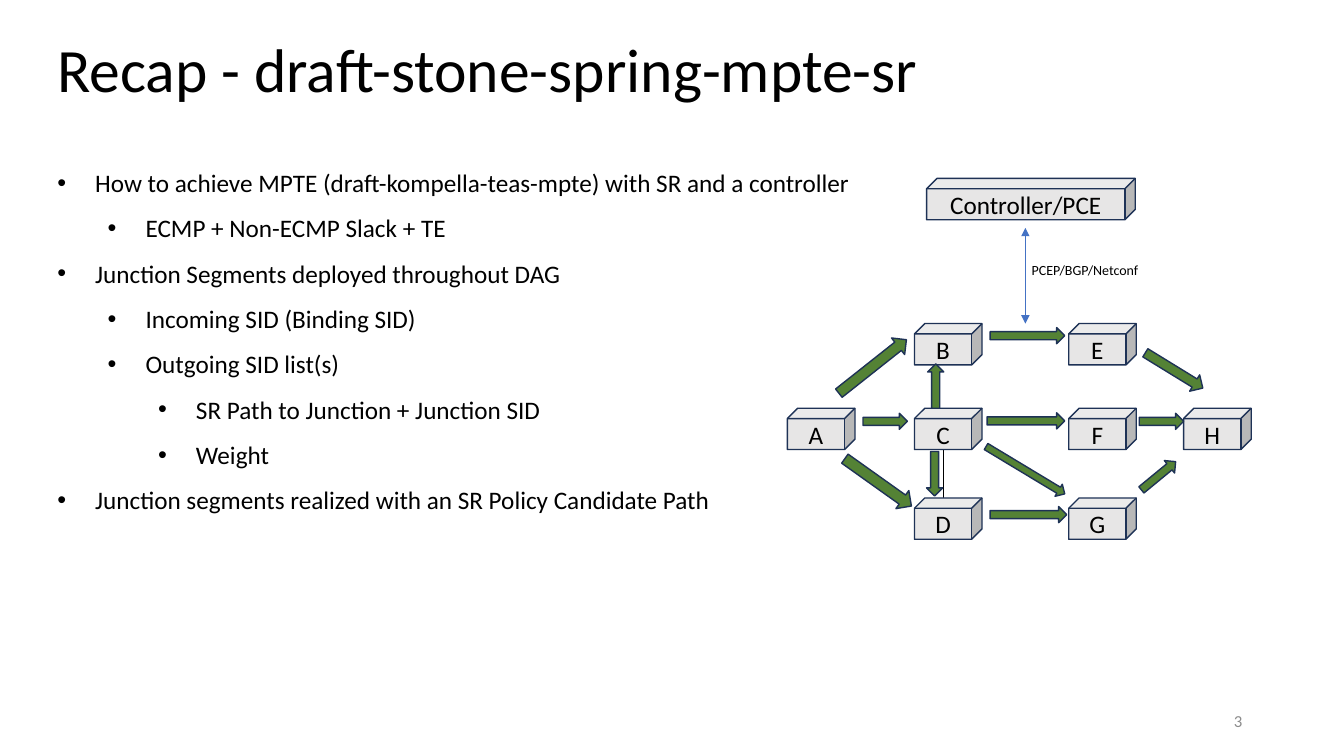
import math

import lxml.etree
import pptx
import pptx.dml.color
import pptx.enum.shapes
import pptx.enum.text
import pptx.oxml.ns
import pptx.util

COLORS = {
    "text": "000000",
    "number": "8C8C8C",
    "cube": "E7E6E6",
    "edge": "1E3256",
    "flow": "548235",
    "control": "4472C4",
}
CELL = pptx.util.Inches(0.1)
FONT = "Calibri"
SHAPES = pptx.enum.shapes.MSO_SHAPE
ALIGN = pptx.enum.text.PP_ALIGN
ANCHOR = pptx.enum.text.MSO_ANCHOR

TITLE = "Recap - draft-stone-spring-mpte-sr"
BULLETS = [
    (0, "How to achieve MPTE (draft-kompella-teas-mpte) with SR and a controller"),
    (1, "ECMP + Non-ECMP Slack + TE"),
    (0, "Junction Segments deployed throughout DAG"),
    (1, "Incoming SID (Binding SID)"),
    (1, "Outgoing SID list(s)"),
    (2, "SR Path to Junction + Junction SID"),
    (2, "Weight"),
    (0, "Junction segments realized with an SR Policy Candidate Path"),
]
NODE_COLUMNS = [0, 12.6, 27.9, 39.3]
NODE_ROWS = [14.4, 22.8, 31.7]
NODES = {
    "A": (0, 1), "B": (1, 0), "C": (1, 1), "D": (1, 2),
    "E": (2, 0), "F": (2, 1), "G": (2, 2), "H": (3, 1),
}
FLOWS = [
    ((19.8, 24.05), (27.5, 24.05), 1.6),
    ((34.9, 24.1), (39.3, 24.1), 1.6),
    ((7.5, 24.1), (11.9, 24.1), 1.6),
    ((5.1, 21.3), (11.8, 16), 2.1),
    ((20.1, 15.6), (27.5, 15.6), 1.6),
    ((35.5, 17.3), (41.2, 20.8), 1.9),
    ((20.1, 33.35), (27.7, 33.35), 1.6),
    ((35.1, 30.9), (38.5, 28.1), 1.6),
    ((5.7, 27.8), (12.3, 32.5), 2.2),
    ((14.6, 27.1), (14.6, 31.5), 1.6),
    ((19.7, 26.6), (27.5, 31.3), 1.4),
    ((14.7, 22.8), (14.7, 18.4), 1.6),
]


def cells(*counts):
    return [round(count * CELL) for count in counts]


def color(name):
    return pptx.dml.color.RGBColor.from_string(COLORS[name])


def apply(target, formats):
    for name, value in formats.items():
        setattr(target, name, value)


def add_span(para, text, size, shade="text"):
    span = para.add_run()
    span.text = text
    apply(span.font, {"name": FONT, "size": pptx.util.Pt(size)})
    span.font.color.rgb = color(shade)


def add_label(page, box, text, size, align=ALIGN.LEFT, anchor=ANCHOR.TOP, shade="text"):
    frame = page.shapes.add_textbox(*cells(*box)).text_frame
    apply(frame, {"word_wrap": True, "vertical_anchor": anchor})
    para = frame.paragraphs[0]
    para.alignment = align
    add_span(para, text, size, shade)
    return para


def add_block(page, kind, box, fill):
    block = page.shapes.add_shape(kind, *cells(*box))
    block.shadow.inherit = False
    block.fill.solid()
    block.fill.fore_color.rgb = color(fill)
    block.line.color.rgb = color("edge")
    block.line.width = pptx.util.Pt(1)
    return block


def add_cube(page, box, text):
    frame = add_block(page, SHAPES.CUBE, box, "cube").text_frame
    frame.vertical_anchor = ANCHOR.MIDDLE
    para = frame.paragraphs[0]
    para.alignment = ALIGN.CENTER
    add_span(para, text, 18)


def add_flow(page, tail, tip, thickness):
    run, drop = tip[0] - tail[0], tip[1] - tail[1]
    length = math.hypot(run, drop)
    left = (tail[0] + tip[0] - thickness) / 2
    top = (tail[1] + tip[1] - length) / 2
    arrow = add_block(page, SHAPES.DOWN_ARROW, (left, top, thickness, length), "flow")
    arrow.rotation = math.degrees(math.atan2(-run, drop)) % 360


def add_line(page, start, end, shade, heads=()):
    straight = pptx.enum.shapes.MSO_CONNECTOR.STRAIGHT
    line = page.shapes.add_connector(straight, *cells(*start, *end))
    line.line.color.rgb = color(shade)
    line.line.width = pptx.util.Pt(0.5)
    for head in heads:
        lxml.etree.SubElement(line.line._get_or_add_ln(), pptx.oxml.ns.qn(head), type="triangle")
    lxml.etree.SubElement(line._element.spPr, pptx.oxml.ns.qn("a:effectLst"))


def add_title(page, box):
    para = add_label(page, box, TITLE, 44, anchor=ANCHOR.MIDDLE)
    para.line_spacing = 0.9


def add_bullets(page, box):
    frame = page.shapes.add_textbox(*cells(*box)).text_frame
    frame.word_wrap = True
    for index, (level, text) in enumerate(BULLETS):
        para = frame.add_paragraph() if index else frame.paragraphs[0]
        apply(para, {"level": level, "line_spacing": 1.5})
        add_span(para, text, 18)
        props = para._p.get_or_add_pPr()
        margin, indent = cells(3.75 + 5 * level, -3.75)
        props.set("marL", str(margin))
        props.set("indent", str(indent))
        lxml.etree.SubElement(props, pptx.oxml.ns.qn("a:buFont"), typeface="Arial")
        lxml.etree.SubElement(props, pptx.oxml.ns.qn("a:buChar"), char="•")


def add_network(page, box):
    left, top = box

    def shift(column, row):
        return left + column, top + row

    add_line(page, shift(15.5, 26.9), shift(15.5, 32.7), "text")
    for name, (column, row) in NODES.items():
        corner = shift(NODE_COLUMNS[column], NODE_ROWS[row])
        add_cube(page, (*corner, 6.7, 4.1), name)
    for tail, tip, thickness in FLOWS:
        add_flow(page, shift(*tail), shift(*tip), thickness)
    add_cube(page, (*shift(13.8, 0), 20.7, 4.1), "Controller/PCE")
    add_line(page, shift(23.6, 4.9), shift(23.6, 14.4), "control", ("a:headEnd", "a:tailEnd"))
    add_label(page, (*shift(22.6, 7.8), 13.8, 2.7), "PCEP/BGP/Netconf", 10, ALIGN.CENTER)


def add_page_number(page, box):
    add_label(page, box, "3", 12, ALIGN.RIGHT, ANCHOR.MIDDLE, "number")


def main():
    deck = pptx.Presentation()
    apply(deck, {"slide_width": pptx.util.Inches(13.33), "slide_height": pptx.util.Inches(7.5)})
    page = deck.slides.add_slide(deck.slide_layouts[6])
    add_title(page, (4.7, -0.1, 115, 14.5))
    add_bullets(page, (4.7, 14.6, 87.1, 36.9))
    add_page_number(page, (94.2, 69.5, 30, 4))
    add_network(page, (78.1, 17.7))
    deck.save("out.pptx")


if __name__ == "__main__":
    main()
